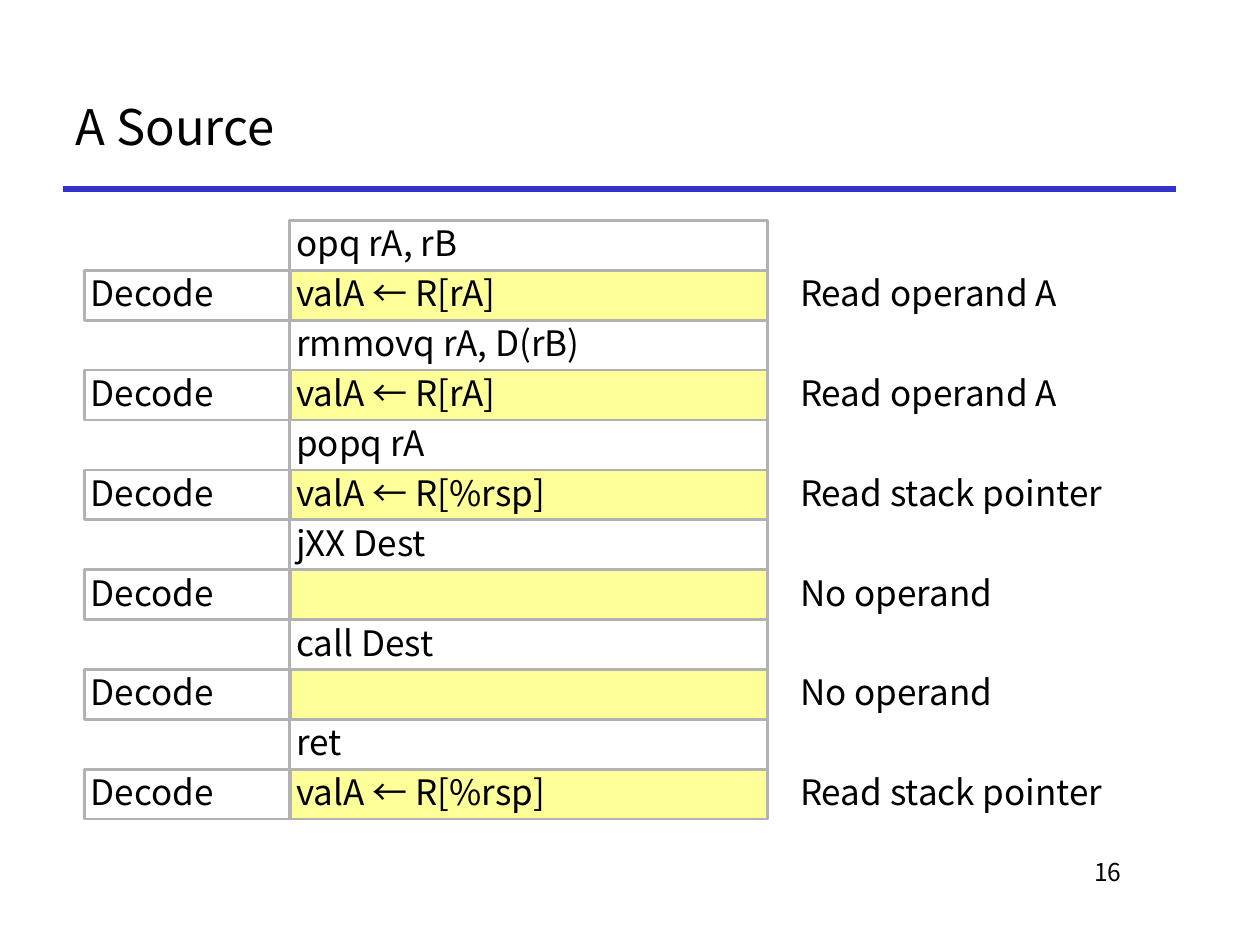
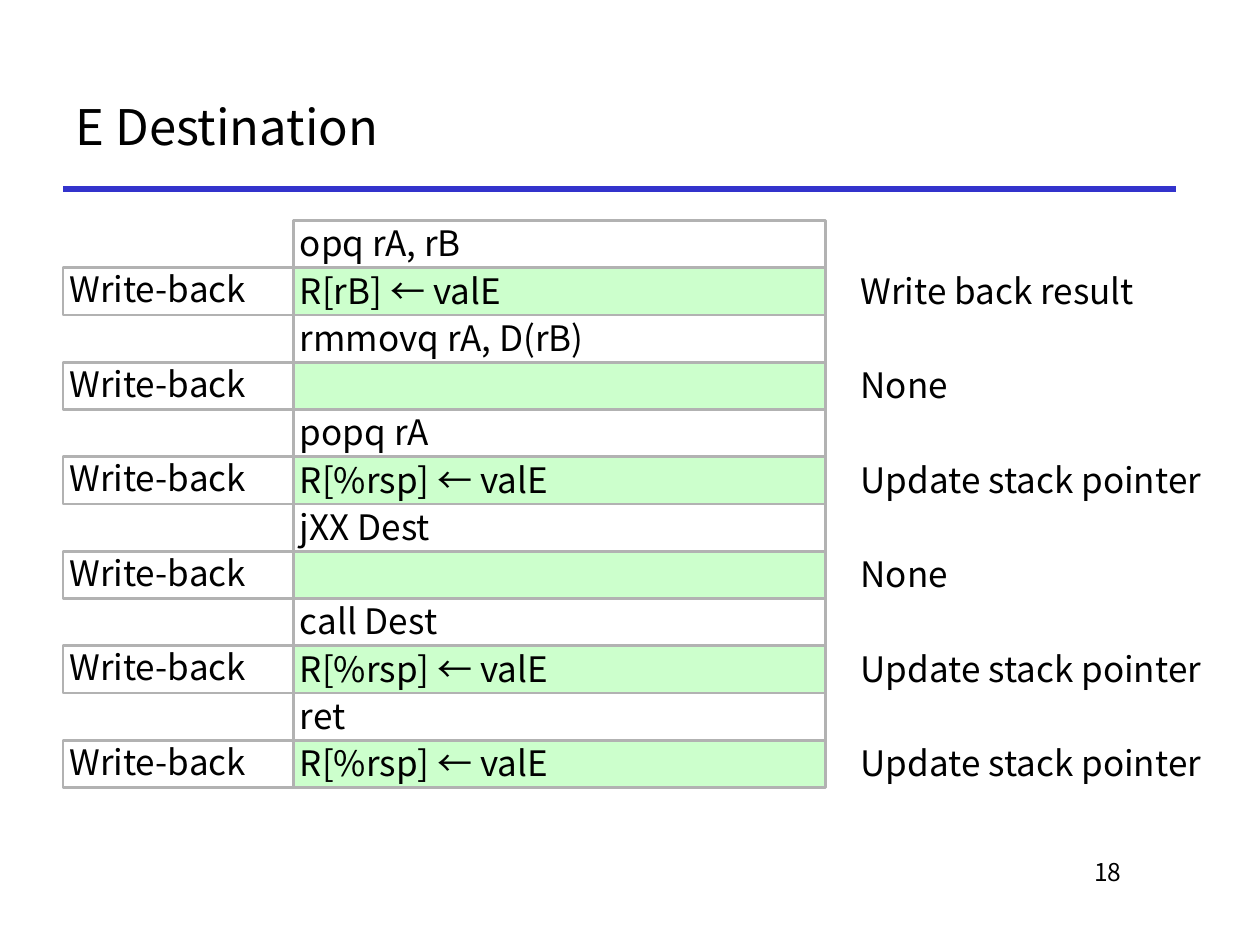
from lxml.etree import SubElement
from pptx import Presentation
from pptx.dml.color import RGBColor
from pptx.enum.shapes import MSO_CONNECTOR, MSO_SHAPE
from pptx.enum.text import MSO_ANCHOR, PP_ALIGN
from pptx.oxml.ns import qn
from pptx.util import Inches, Pt

# Shared look
FONT = "Noto Sans CJK KR"
COLORS = {
    "text": "000000",
    "rule": "3333CC",
    "border": "B2B2B2",
    "decode": "FFFF99",
    "write_back": "CCFFCC",
}
TABLE_TOP = 1.75
INSTRUCTIONS = ["opq rA, rB", "rmmovq rA, D(rB)", "popq rA", "jXX Dest", "call Dest", "ret"]

# Each column is (left, width); each step is (action, meaning), one per instruction
SLIDES = [
    {
        "title": "A Source",
        "number": "16",
        "stage": "Decode",
        "fill": "decode",
        "row_height": 0.396,
        "stage_column": (0.67, 1.64),
        "code_column": (2.3, 3.79),
        "meaning_column": (6.3, 3.04),
        "steps": [
            ("valA ← R[rA]", "Read operand A"),
            ("valA ← R[rA]", "Read operand A"),
            ("valA ← R[%rsp]", "Read stack pointer"),
            ("", "No operand"),
            ("", "No operand"),
            ("valA ← R[%rsp]", "Read stack pointer"),
        ],
    },
    {
        "title": "E Destination",
        "number": "18",
        "stage": "Write-back",
        "fill": "write_back",
        "row_height": 0.375,
        "stage_column": (0.5, 1.83),
        "code_column": (2.33, 4.22),
        "meaning_column": (6.78, 3.22),
        "steps": [
            ("R[rB] ← valE", "Write back result"),
            ("", "None"),
            ("R[%rsp] ← valE", "Update stack pointer"),
            ("", "None"),
            ("R[%rsp] ← valE", "Update stack pointer"),
            ("R[%rsp] ← valE", "Update stack pointer"),
        ],
    },
]


def color(name):
    return RGBColor.from_string(COLORS[name])


def write(shape, text, size, align=PP_ALIGN.LEFT, anchor=MSO_ANCHOR.TOP):
    frame = shape.text_frame
    frame.word_wrap = True
    frame.vertical_anchor = anchor
    frame.text = text
    paragraph = frame.paragraphs[0]
    paragraph.alignment = align
    for run in paragraph.runs:
        run.font.name = FONT
        run.font.size = Pt(size)
        run.font.color.rgb = color("text")
        # The arrows take the East Asian font
        SubElement(run.font._element, qn("a:ea"), typeface=FONT)


def write_cell(shape, text, anchor=MSO_ANCHOR.TOP):
    write(shape, text, 20, anchor=anchor)
    frame = shape.text_frame
    frame.margin_left = frame.margin_right = Inches(0.05)
    frame.margin_top = frame.margin_bottom = Inches(0.05)
    frame.paragraphs[0].line_spacing = 0.9


def cell_area(column, top, height):
    left, width = column
    return Inches(left), Inches(top), Inches(width), Inches(height)


def add_cell(slide, area, text, fill=None, anchor=MSO_ANCHOR.TOP):
    cell = slide.shapes.add_shape(MSO_SHAPE.RECTANGLE, *area)
    cell.shadow.inherit = False
    if fill:
        cell.fill.solid()
        cell.fill.fore_color.rgb = color(fill)
    else:
        cell.fill.background()
    cell.line.color.rgb = color("border")
    cell.line.width = Pt(1.5)
    write_cell(cell, text, anchor)


def add_frame(slide, title, number):
    # Title
    heading = slide.shapes.title
    heading.left, heading.top = Inches(0.5), Inches(0.5)
    heading.width, heading.height = Inches(8.83), Inches(1)
    write(heading, title, 28, anchor=MSO_ANCHOR.MIDDLE)

    # Rule under the title
    rule = slide.shapes.add_connector(
        MSO_CONNECTOR.STRAIGHT, Inches(0.5), Inches(1.5), Inches(9.33), Inches(1.5))
    rule.line.color.rgb = color("rule")
    rule.line.width = Pt(3)
    SubElement(rule._element.spPr, qn("a:effectLst"))

    # Slide number
    box = slide.shapes.add_textbox(Inches(7.58), Inches(6.75), Inches(1.42), Inches(0.5))
    write(box, number, 14, align=PP_ALIGN.RIGHT)


def add_stage_rows(slide, content):
    height = content["row_height"]
    for index, (instruction, step) in enumerate(zip(INSTRUCTIONS, content["steps"])):
        action, meaning = step
        instruction_top = TABLE_TOP + 2 * index * height
        step_top = instruction_top + height

        add_cell(slide, cell_area(content["code_column"], instruction_top, height), instruction)
        add_cell(slide, cell_area(content["code_column"], step_top, height), action,
                 fill=content["fill"])
        add_cell(slide, cell_area(content["stage_column"], step_top, height), content["stage"],
                 anchor=MSO_ANCHOR.MIDDLE)
        note = slide.shapes.add_textbox(*cell_area(content["meaning_column"], step_top, height))
        write_cell(note, meaning)


def main():
    presentation = Presentation()
    presentation.slide_width, presentation.slide_height = Inches(10), Inches(7.5)
    title_only = presentation.slide_layouts[5]
    for content in SLIDES:
        slide = presentation.slides.add_slide(title_only)
        add_frame(slide, content["title"], content["number"])
        add_stage_rows(slide, content)
    presentation.save("out.pptx")


if __name__ == "__main__":
    main()
